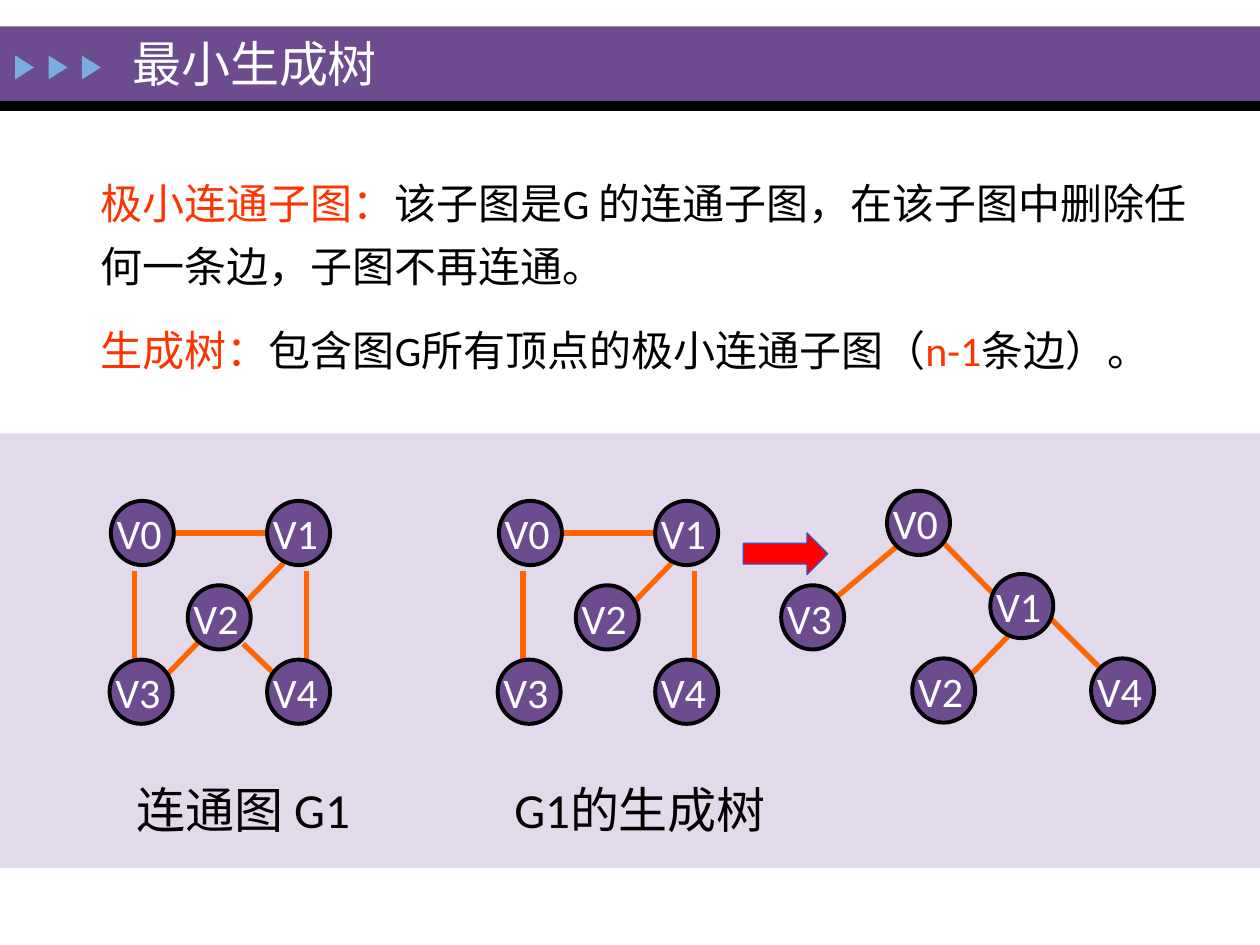
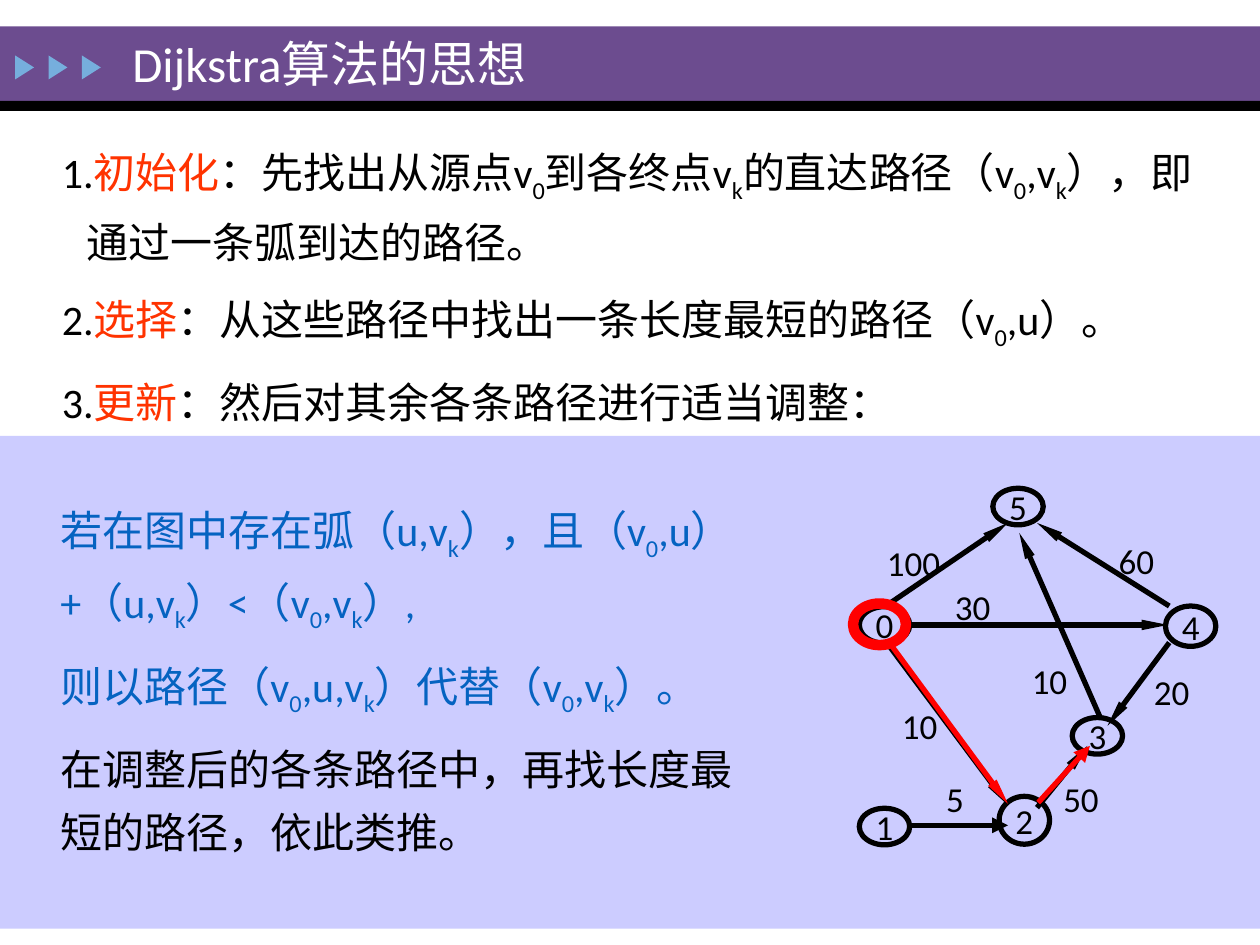
from dataclasses import dataclass

from lxml import etree
from pptx import Presentation
from pptx.dml.color import RGBColor
from pptx.enum.lang import MSO_LANGUAGE_ID
from pptx.enum.shapes import MSO_CONNECTOR, MSO_SHAPE
from pptx.enum.text import MSO_ANCHOR, MSO_AUTO_SIZE, PP_ALIGN
from pptx.oxml.ns import qn
from pptx.util import Inches, Pt

RECTANGLE, OVAL = MSO_SHAPE.RECTANGLE, MSO_SHAPE.OVAL
TRIANGLE, RIGHT_ARROW = MSO_SHAPE.ISOSCELES_TRIANGLE, MSO_SHAPE.RIGHT_ARROW
STRAIGHT = MSO_CONNECTOR.STRAIGHT
LEFT, CENTER = PP_ALIGN.LEFT, PP_ALIGN.CENTER
MIDDLE, NO_FIT = MSO_ANCHOR.MIDDLE, MSO_AUTO_SIZE.NONE
CHINESE = MSO_LANGUAGE_ID.SIMPLIFIED_CHINESE

SLIDE_WIDTH, SLIDE_HEIGHT = Inches(10), Inches(7.5)
CELL = SLIDE_WIDTH / 10  # the grid has 10 columns and 7.5 rows


@dataclass(frozen=True)
class Theme:
    font: str = "Calibri"
    purple: str = "6C4C8F"
    lilac: str = "E2D9EB"
    periwinkle: str = "CCCCFF"
    sky: str = "76AEDD"
    black: str = "000000"
    white: str = "FFFFFF"
    accent: str = "FF3300"
    blue: str = "0563C1"
    orange: str = "FF6600"
    red: str = "FF0000"
    arrow_edge: str = "3E4DBA"
    title_size: int = 28
    body_size: int = 24
    weight_size: int = 20


THEME = Theme()

# Shared frame: left, top, width, height on the grid
BANDS = [((0, 0.21, 10, 0.59), THEME.purple), ((0, 0.8, 10, 0.08), THEME.black)]
MARKER_BOX, MARKER_STEP, MARKER_COUNT = (0.1, 0.46, 0.19, 0.15), 0.265, 3
TITLE_BOX = (0.95, 0.22, 5.6, 0.56)

# Text markup: "|" parts the runs, "*" opens an accent and "_" a subscript
TREE_TITLE = "最小生成树"
TREE_PANEL = (0, 3.44, 10, 3.45)
TREE_BODY_BOX = (0.7, 1.26, 8.9, 1.82)
TREE_BODY = [
    "*极小连通子图：|该子图是G 的连通子图，在该子图中删除任何一条边，子图不再连通。",
    "*生成树：|包含图G所有顶点的极小连通子图（|*n-1|条边）。",
]
CAPTIONS = [("连通图 G1", 0.7), ("G1的生成树", 3.85)]
CAPTION_TOP, CAPTION_SIZE = 6.14, (2.46, 0.57)

# Vertices by centre, edges by both ends
VERTEX_SIZE = (0.5, 0.51)
GRAPH_VERTICES = {"V0": (1.13, 4.23), "V1": (2.37, 4.23), "V2": (1.74, 4.9),
                  "V3": (1.12, 5.49), "V4": (2.37, 5.49)}
SPANNING_EDGES = [((1.07, 4.53), (1.07, 5.25)), ((1.37, 4.23), (2.19, 4.23)),
                  ((2.43, 4.53), (2.43, 5.25)), ((2.25, 4.47), (1.96, 4.77))]
CYCLE_EDGES = [((1.6, 5.07), (1.31, 5.37)), ((1.93, 5.11), (2.19, 5.36))]
ROOTED_VERTICES = {"V0": (7.29, 4.15), "V1": (8.11, 4.81), "V2": (7.49, 5.48),
                   "V3": (6.45, 4.9), "V4": (8.91, 5.48)}
ROOTED_EDGES = [((7.15, 4.31), (6.65, 4.73)), ((7.49, 4.31), (7.9, 4.73)),
                ((8.32, 4.89), (8.74, 5.31)), ((8, 5.05), (7.71, 5.35))]
SPANNING_SHIFT = 3.08
GRAPHS = [
    (GRAPH_VERTICES, SPANNING_EDGES + CYCLE_EDGES, 0),
    (GRAPH_VERTICES, SPANNING_EDGES, SPANNING_SHIFT),
    (ROOTED_VERTICES, ROOTED_EDGES, 0),
]
REDRAW_ARROW = (5.9, 4.23, 0.67, 0.33)

DIJKSTRA_TITLE = "Dijkstra算法的思想"
DIJKSTRA_PANEL = (0, 3.46, 10, 3.91)
STEPS_BOX = (0.39, 1, 9.3, 2.36)
STEPS = [
    "1.|*初始化|：先找出从源点v|_0|到各终点v|_k|的直达路径（v|_0|,v|_k|），即通过一条弧到达的路径。",
    "2.|*选择|：从这些路径中找出一条长度最短的路径（v|_0|,u）。",
    "3.|*更新|：然后对其余各条路径进行适当调整：",
]
UPDATE_BOX = (0.38, 3.84, 5.61, 2.87)
UPDATE = [
    "若在图中存在弧（u,v|_k|），且（v|_0|,u）+（u,v|_k|）<（v|_0|,v|_k|）,",
    "则以路径（v|_0|,u,v|_k|）代替（v|_0|,v|_k|）。",
    "在调整后的各条路径中，再找长度最短的路径，依此类推。",
]
UPDATE_COLORS = [THEME.blue, THEME.blue, THEME.black]

# Stations: centre and height
STATION_WIDTH = 0.4
STATIONS = {"5": (8.08, 4.02, 0.29), "4": (9.45, 4.97, 0.32), "0": (7.02, 4.96, 0.29),
            "3": (8.71, 5.84, 0.29), "1": (7.02, 6.56, 0.29), "2": (8.13, 6.51, 0.38)}
# Arcs: start, end, weight, centre of the weight
ARCS = [
    ((7.03, 4.81), (8, 4.15), "100", (7.25, 4.46)),
    ((9.28, 4.81), (8.23, 4.15), "60", (9.02, 4.45)),
    ((7.17, 4.96), (9.27, 4.96), "30", (7.72, 4.81)),
    ((7.06, 5.13), (8, 6.39), "10", (7.3, 5.76)),
    ((8.73, 5.69), (8.09, 4.23), "10", (8.33, 5.4)),
    ((9.28, 5.1), (8.79, 5.76), "20", (9.3, 5.49)),
    ((8.23, 6.41), (8.63, 5.92), "50", (8.58, 6.34)),
    ((7.22, 6.55), (8, 6.55), "5", (7.58, 6.34)),
]
WEIGHT_SIZE = (0.7, 0.43)
SLIM_HEAD, EVEN_HEAD = ("sm", "lg"), ("med", "med")
SOURCE_RING = (6.77, 4.79, 0.42, 0.33)
CHOSEN_ARCS = [((7.08, 5.13), (8, 6.38), SLIM_HEAD),
               ((8.24, 6.37), (8.65, 5.92), EVEN_HEAD)]


def cells(*lengths):
    return [round(CELL * length) for length in lengths]


def around(center, size):
    return [center[0] - size[0] / 2, center[1] - size[1] / 2, *size]


def rgb(color):
    return RGBColor.from_string(color)


def apply(target, values):
    for name, value in values.items():
        setattr(target, name, value)


def write(paragraph, markup, size, color):
    """Add the runs of one marked-up paragraph."""
    for piece in markup.split("|"):
        run = paragraph.add_run()
        run.text = piece.lstrip("*_")
        apply(run.font, {"name": THEME.font, "size": Pt(size), "language_id": CHINESE})
        run.font.color.rgb = rgb(THEME.accent if piece.startswith("*") else color)
        if piece.startswith("_"):
            run.font._element.set("baseline", "-25000") if hasattr(
                run.font, "_element") else run._r.get_or_add_rPr().set("baseline", "-25000")


def place(shape, box):
    apply(shape, dict(zip(("left", "top", "width", "height"), cells(*box))))


def fill_title(slide, text):
    title = slide.shapes.title
    place(title, TITLE_BOX)
    apply(title.text_frame, {"vertical_anchor": MIDDLE, "auto_size": NO_FIT})
    paragraph = title.text_frame.paragraphs[0]
    paragraph.alignment = LEFT
    write(paragraph, text, THEME.title_size, THEME.white)


def fill_body(placeholder, box, texts, gap, colors=None, hanging=0):
    """Write plain paragraphs, parted by a share of the type size."""
    place(placeholder, box)
    frame = placeholder.text_frame
    frame.auto_size = NO_FIT
    indent = cells(hanging)[0]
    for index, text in enumerate(texts):
        paragraph = frame.add_paragraph() if index else frame.paragraphs[0]
        properties = paragraph._p.get_or_add_pPr()
        properties.set("marL", str(indent))
        properties.set("indent", str(-indent))
        etree.SubElement(properties, qn("a:buNone"))
        space = Pt(THEME.body_size * gap) if index else Pt(0)
        apply(paragraph, {"line_spacing": 1.25, "space_before": space, "alignment": LEFT})
        write(paragraph, text, THEME.body_size, colors[index] if colors else THEME.black)


def add_shape(slide, kind, box, fill=None, line=None, line_width=1):
    shape = slide.shapes.add_shape(kind, *cells(*box))
    shape.shadow.inherit = False
    if fill:
        shape.fill.solid()
        shape.fill.fore_color.rgb = rgb(fill)
    else:
        shape.fill.background()
    if line:
        shape.line.color.rgb = rgb(line)
        shape.line.width = Pt(line_width)
    else:
        shape.line.fill.background()
    return shape


def add_node(slide, name, box, size, color, nudge=0, **style):
    """Draw a circle with its name; nudge moves the name to the left."""
    node = add_shape(slide, OVAL, box, line=THEME.black, **style)
    margins = {"margin_left": 0, "margin_right": cells(nudge)[0],
               "margin_top": 0, "margin_bottom": 0}
    apply(node.text_frame, {"word_wrap": False, "vertical_anchor": MIDDLE, **margins})
    paragraph = node.text_frame.paragraphs[0]
    paragraph.alignment = CENTER
    write(paragraph, name, size, color)


def add_label(slide, text, box, size):
    label = slide.shapes.add_textbox(*cells(*box))
    label.text_frame.word_wrap = True
    paragraph = label.text_frame.paragraphs[0]
    paragraph.alignment = CENTER
    write(paragraph, text, size, THEME.black)


def add_edge(slide, start, end, color, head=None):
    edge = slide.shapes.add_connector(STRAIGHT, *cells(*start, *end))
    edge.line.color.rgb = rgb(color)
    edge.line.width = Pt(3)
    if head:
        etree.SubElement(edge.line._get_or_add_ln(), qn("a:tailEnd"),
                         type="triangle", w=head[0], len=head[1])
    etree.SubElement(edge.element.spPr, qn("a:effectLst"))


def add_panel(slide, box, color):
    panel = add_shape(slide, RECTANGLE, box, color)
    slide.shapes.element.insert(2, panel.element)  # behind the text


def move_frame_to_master(presentation, slide):
    """Build the bands and markers once, and let the master hold them."""
    frame = [add_shape(slide, RECTANGLE, box, color) for box, color in BANDS]
    left, *rest = MARKER_BOX
    for index in range(MARKER_COUNT):
        marker = add_shape(slide, TRIANGLE, (left + index * MARKER_STEP, *rest), THEME.sky)
        marker.rotation = 90
        frame.append(marker)
    for index, shape in enumerate(frame):
        shape.element.nvSpPr.cNvPr.set("id", str(100 + index))
        presentation.slide_master.shapes.element.insert(2 + index, shape.element)


def build_tree_slide(slide):
    fill_title(slide, TREE_TITLE)
    fill_body(slide.placeholders[1], TREE_BODY_BOX, TREE_BODY, gap=0.5)
    add_panel(slide, TREE_PANEL, THEME.lilac)
    for vertices, edges, shift in GRAPHS:
        for (x1, y1), (x2, y2) in edges:
            add_edge(slide, (x1 + shift, y1), (x2 + shift, y2), THEME.orange)
        for name, (x, y) in vertices.items():
            add_node(slide, name, around((x + shift, y), VERTEX_SIZE), THEME.body_size,
                     THEME.white, nudge=0.05, fill=THEME.purple, line_width=2.25)
    add_shape(slide, RIGHT_ARROW, REDRAW_ARROW, THEME.red, THEME.arrow_edge, 0.75)
    for text, left in CAPTIONS:
        add_label(slide, text, (left, CAPTION_TOP, *CAPTION_SIZE), THEME.title_size)


def build_dijkstra_slide(slide):
    fill_title(slide, DIJKSTRA_TITLE)
    fill_body(slide.placeholders[1], STEPS_BOX, STEPS, gap=0.3, hanging=0.2)
    fill_body(slide.placeholders[2], UPDATE_BOX, UPDATE, gap=0.3, colors=UPDATE_COLORS)
    add_panel(slide, DIJKSTRA_PANEL, THEME.periwinkle)
    for name, (x, y, height) in STATIONS.items():
        add_node(slide, name, around((x, y), (STATION_WIDTH, height)),
                 THEME.weight_size, THEME.black, line_width=3)
    for start, end, weight, center in ARCS:
        head = EVEN_HEAD if weight == "5" else SLIM_HEAD
        add_edge(slide, start, end, THEME.black, head)
        add_label(slide, weight, around(center, WEIGHT_SIZE), THEME.weight_size)
    # Source and chosen path
    add_shape(slide, OVAL, SOURCE_RING, line=THEME.red, line_width=6)
    for start, end, head in CHOSEN_ARCS:
        add_edge(slide, start, end, THEME.red, head)


def main():
    presentation = Presentation()
    apply(presentation, {"slide_width": SLIDE_WIDTH, "slide_height": SLIDE_HEIGHT})
    one_body, two_bodies = (presentation.slide_layouts[index] for index in (1, 3))
    tree_slide = presentation.slides.add_slide(one_body)
    move_frame_to_master(presentation, tree_slide)
    build_tree_slide(tree_slide)
    build_dijkstra_slide(presentation.slides.add_slide(two_bodies))
    presentation.save("out.pptx")


if __name__ == "__main__":
    main()
